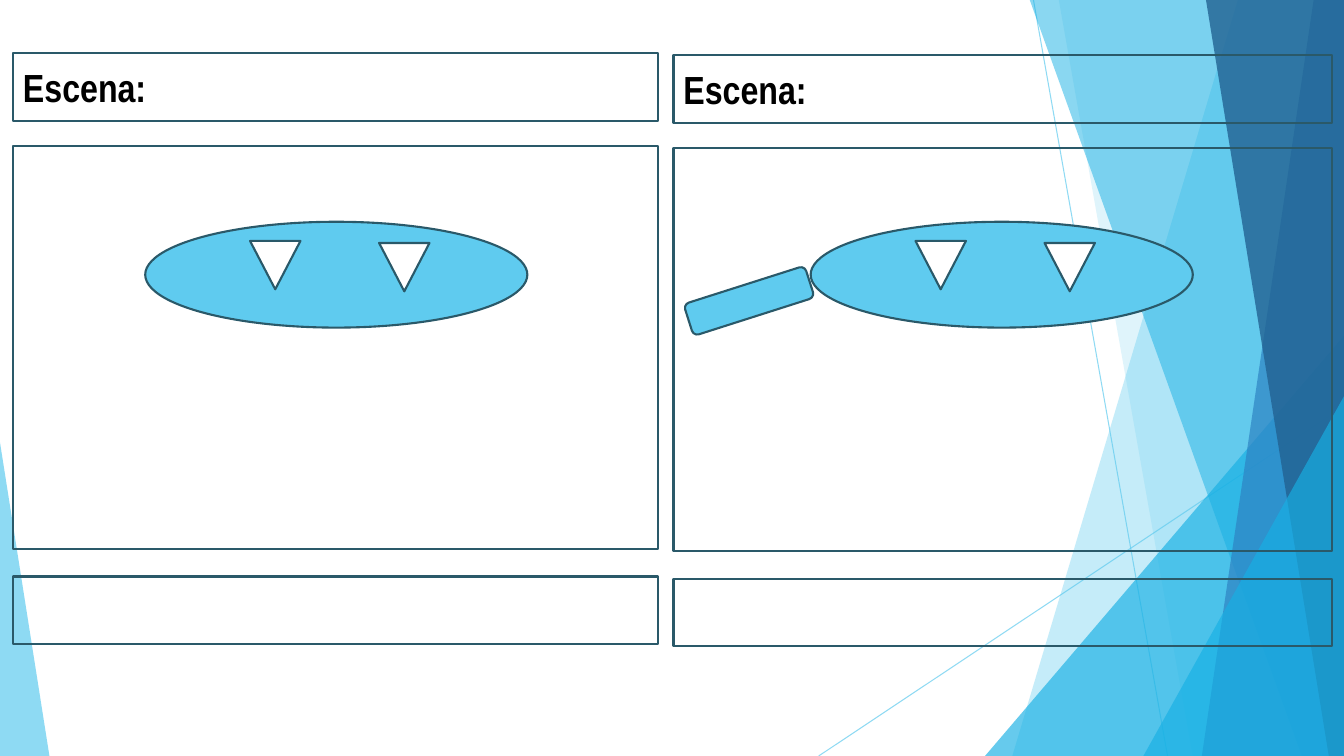
import lxml.etree
import pptx
import pptx.dml.color
import pptx.enum.shapes
import pptx.enum.text
import pptx.oxml.ns
import pptx.util
from dataclasses import dataclass

Inches = pptx.util.Inches
SHAPE = pptx.enum.shapes.MSO_SHAPE


@dataclass(frozen=True)
class Theme:
    sky: str = "5FCBEF"
    azure: str = "17B0E4"
    blue: str = "2E83C3"
    navy: str = "226292"
    outline: str = "2A5969"
    white: str = "FFFFFF"
    black: str = "000000"
    heading_font: str = "Arial Narrow"
    heading_size: int = 28
    outline_width: float = 1.5
    ray_width: float = 0.75


THEME = Theme()
WIDTH, HEIGHT = 13.33, 7.5


def rgb(color):
    return pptx.dml.color.RGBColor.from_string(color)


def set_fill(fill, color, opacity=100):
    fill.solid()
    fill.fore_color.rgb = rgb(color)
    if opacity < 100:
        qn = pptx.oxml.ns.qn
        # Both a shape fill and a line fill store their colour in a:solidFill
        color_node = fill._xPr.find(qn("a:solidFill")).find(qn("a:srgbClr"))
        lxml.etree.SubElement(color_node, qn("a:alpha"), val=str(opacity * 1000))


def style(shape, fill=None, opacity=100, outlined=True):
    shape.shadow.inherit = False
    if fill:
        set_fill(shape.fill, fill, opacity)
    else:
        shape.fill.background()
    if outlined:
        set_fill(shape.line.fill, THEME.outline)
        shape.line.width = pptx.util.Pt(THEME.outline_width)
    else:
        shape.line.fill.background()
    return shape


def add_preset(slide, preset, box, **look):
    shape = slide.shapes.add_shape(preset, *(Inches(length) for length in box))
    return style(shape, **look)


# Background: translucent facets and fine rays
def add_ray(slide, start, end):
    ray = slide.shapes.add_connector(
        pptx.enum.shapes.MSO_CONNECTOR.STRAIGHT,
        *(Inches(length) for length in start + end))
    set_fill(ray.line.fill, THEME.sky, 70)
    ray.line.width = pptx.util.Pt(THEME.ray_width)
    lxml.etree.SubElement(ray._element.spPr, pptx.oxml.ns.qn("a:effectLst"))


def add_band(slide, top_x, bottom_x, color, opacity):
    """A facet from a slanted left edge to the right side of the slide."""
    top = -0.01
    corners = [(top_x, top), (WIDTH, top), (WIDTH, HEIGHT), (bottom_x, HEIGHT)]
    points = [(Inches(x), Inches(y)) for x, y in corners]
    builder = slide.shapes.build_freeform(*points[0])
    builder.add_line_segments(points[1:], close=True)
    style(builder.convert_to_shape(), color, opacity, outlined=False)


def add_corner(slide, left, top, width, apex, color, opacity):
    """A triangle that stands on the bottom edge of the slide."""
    corner = add_preset(slide, SHAPE.ISOSCELES_TRIANGLE,
                        (left, top, width, HEIGHT - top),
                        fill=color, opacity=opacity, outlined=False)
    corner.adjustments[0] = apex


def add_background(slide):
    add_ray(slide, (10.25, 0), (11.58, HEIGHT))
    add_ray(slide, (WIDTH, 4.03), (8.12, HEIGHT))
    add_band(slide, 12.28, 10.04, THEME.sky, 36)
    add_band(slide, 10.5, 11.83, THEME.sky, 20)
    add_corner(slide, 9.77, 3.33, 3.56, 1, THEME.azure, 66)
    add_band(slide, 10.21, 12.91, THEME.azure, 50)
    add_band(slide, 13.03, 11.92, THEME.blue, 70)
    add_band(slide, 11.96, 13.18, THEME.navy, 80)
    add_corner(slide, 11.34, 3.93, 1.99, 1, THEME.azure, 66)
    add_corner(slide, 0, 4.39, 0.49, 0, THEME.sky, 70)


# Scene panel: heading, drawing area and caption strip
def add_scene_panel(slide, left, top, width):
    strip_height, drawing_height = 0.67, 4
    heading = add_preset(slide, SHAPE.RECTANGLE, (left, top, width, strip_height))
    add_preset(slide, SHAPE.RECTANGLE, (left, top + 0.92, width, drawing_height))
    add_preset(slide, SHAPE.RECTANGLE, (left, top + 5.19, width, strip_height))

    frame = heading.text_frame
    frame.vertical_anchor = pptx.enum.text.MSO_ANCHOR.MIDDLE
    paragraph = frame.paragraphs[0]
    paragraph.text = "Escena:"
    paragraph.alignment = pptx.enum.text.PP_ALIGN.LEFT
    paragraph.font.name = THEME.heading_font
    paragraph.font.size = pptx.util.Pt(THEME.heading_size)
    paragraph.font.bold = True
    paragraph.font.color.rgb = rgb(THEME.black)


# Mask: an oval face with two eyes, with or without a handle
def add_mask(slide, left, top, with_handle=False):
    add_preset(slide, SHAPE.OVAL, (left, top, 3.79, 1.05), fill=THEME.sky)
    if with_handle:
        handle = add_preset(slide, SHAPE.ROUNDED_RECTANGLE,
                            (left - 1.24, top + 0.62, 1.26, 0.33), fill=THEME.sky)
        handle.rotation = 342.3
    for eye_x, eye_y in ((1.04, 0.19), (2.32, 0.21)):
        eye = add_preset(slide, SHAPE.ISOSCELES_TRIANGLE,
                         (left + eye_x, top + eye_y, 0.5, 0.48), fill=THEME.white)
        eye.rotation = 180


def main():
    deck = pptx.Presentation()
    deck.slide_width, deck.slide_height = Inches(WIDTH), Inches(HEIGHT)
    slide = deck.slides.add_slide(deck.slide_layouts[6])
    set_fill(slide.background.fill, THEME.white)

    add_background(slide)
    add_scene_panel(slide, 0.13, 0.53, 6.4)
    add_scene_panel(slide, 6.68, 0.55, 6.53)
    add_mask(slide, 1.44, 2.2)
    add_mask(slide, 8.04, 2.2, with_handle=True)
    deck.save("out.pptx")


if __name__ == "__main__":
    main()
